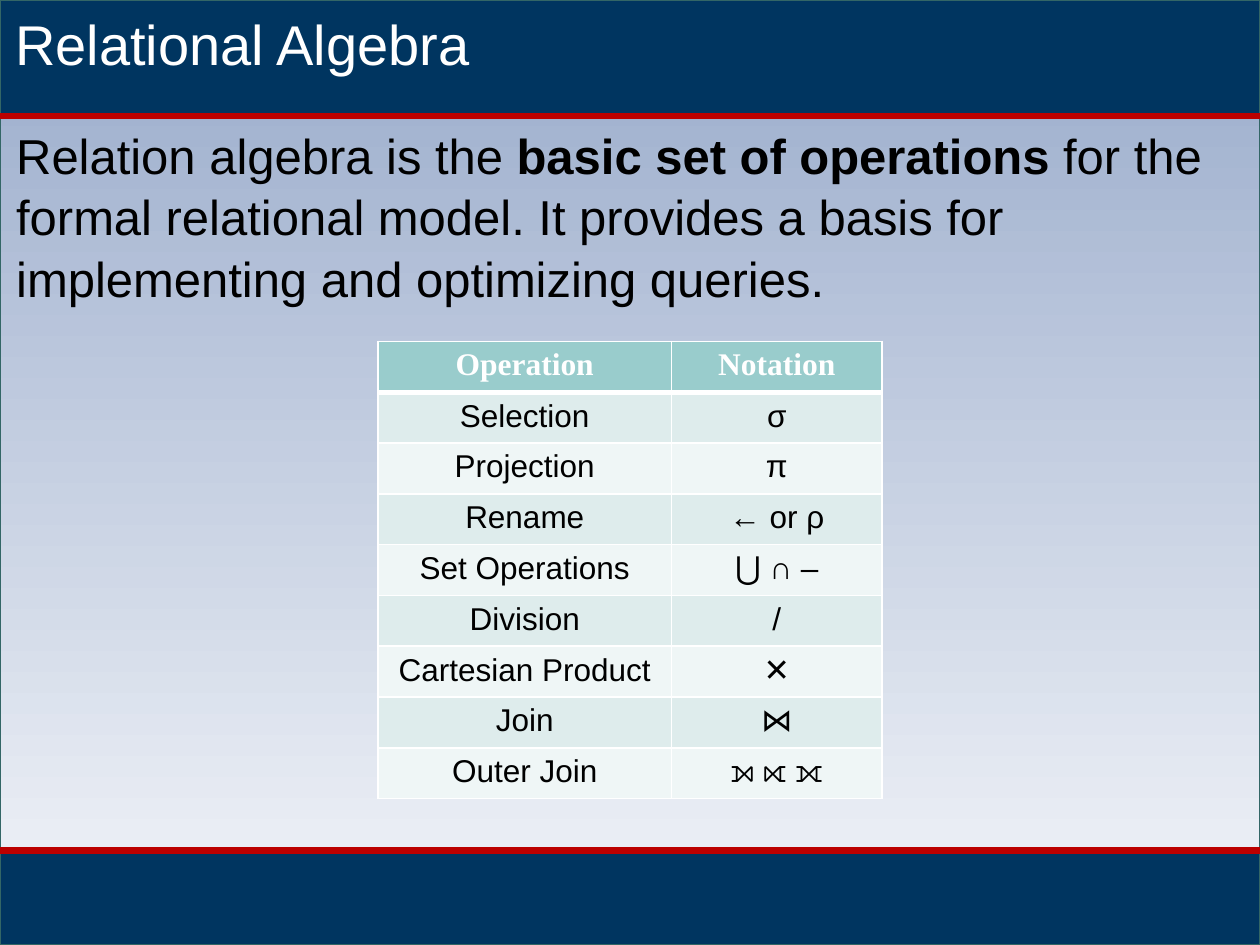
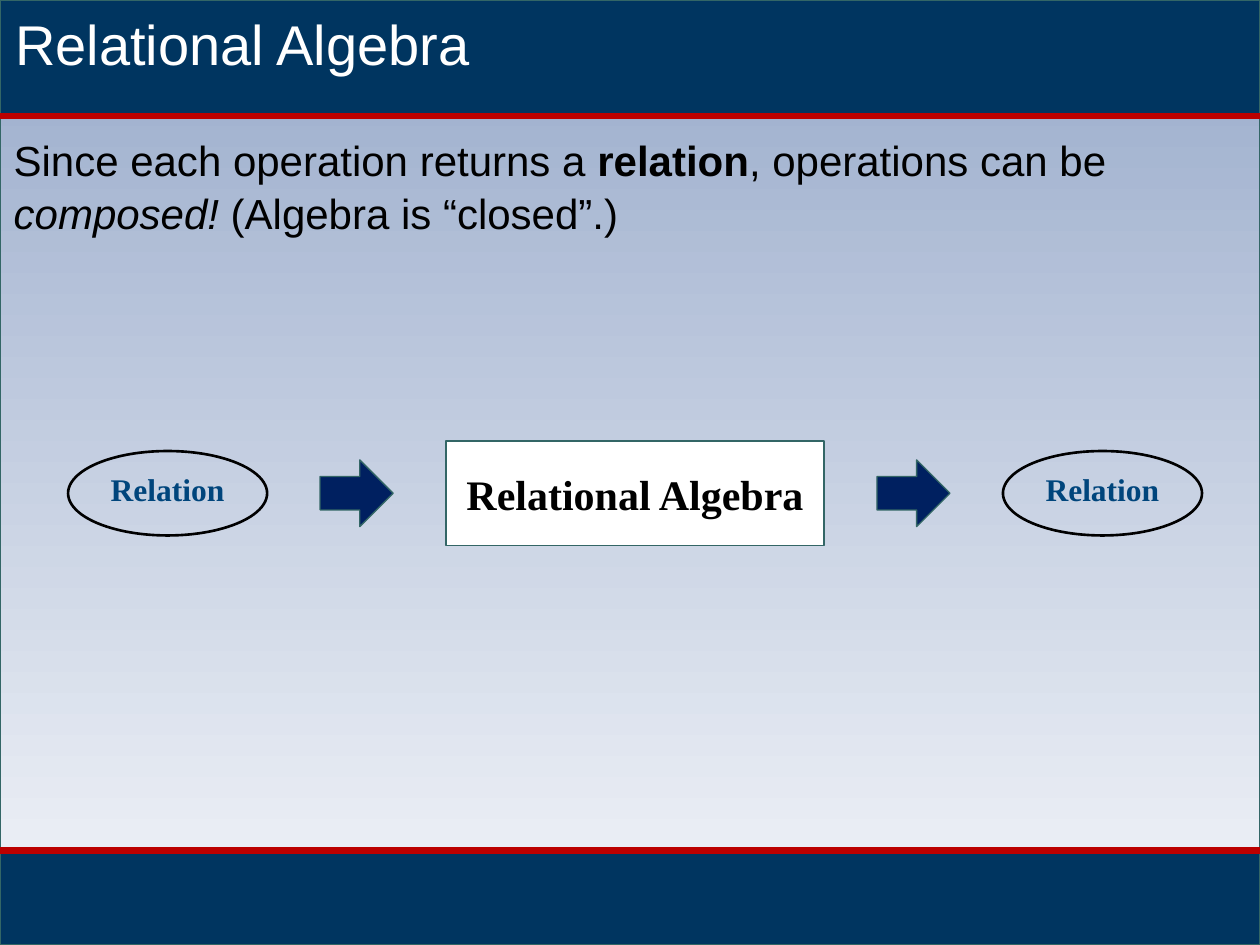
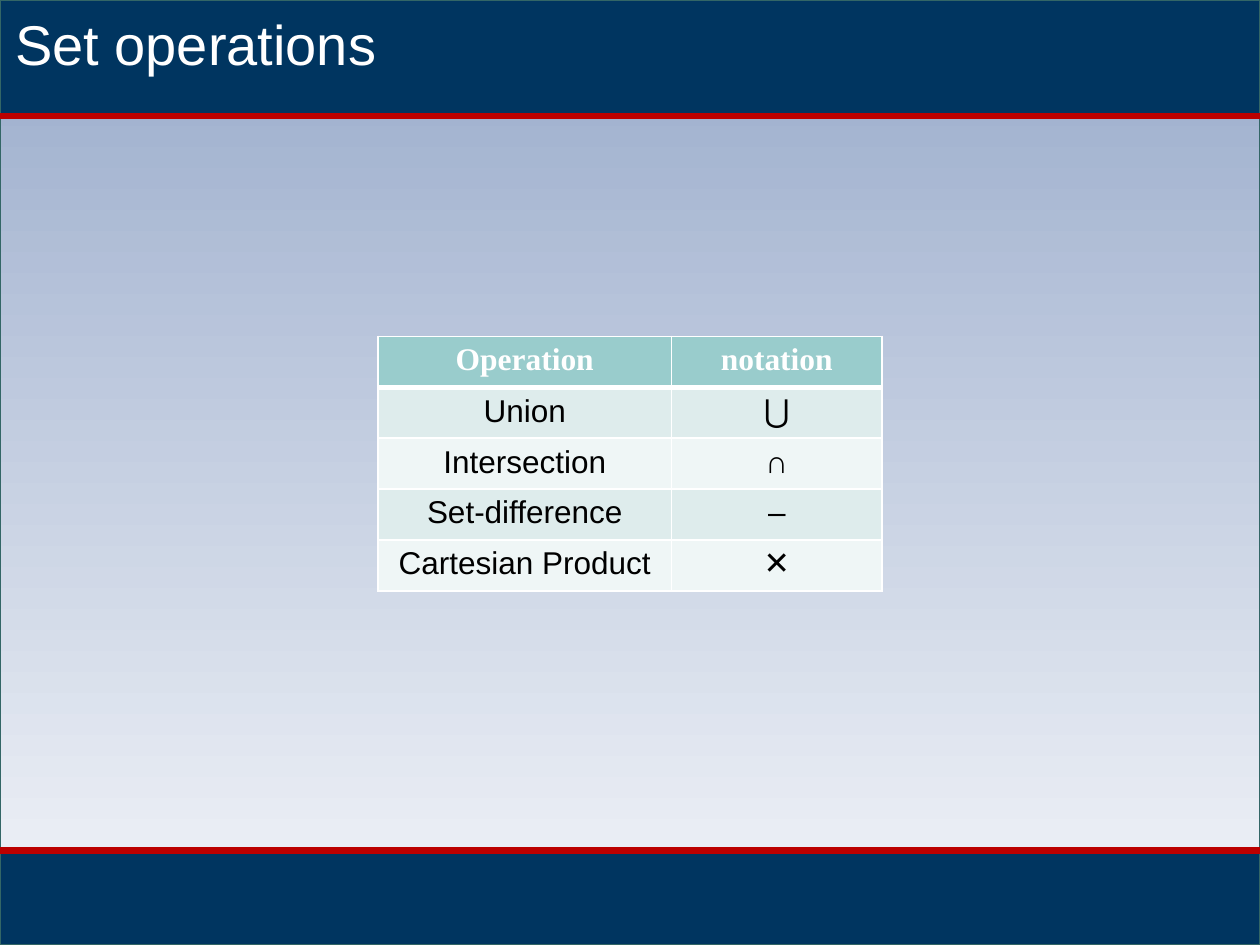
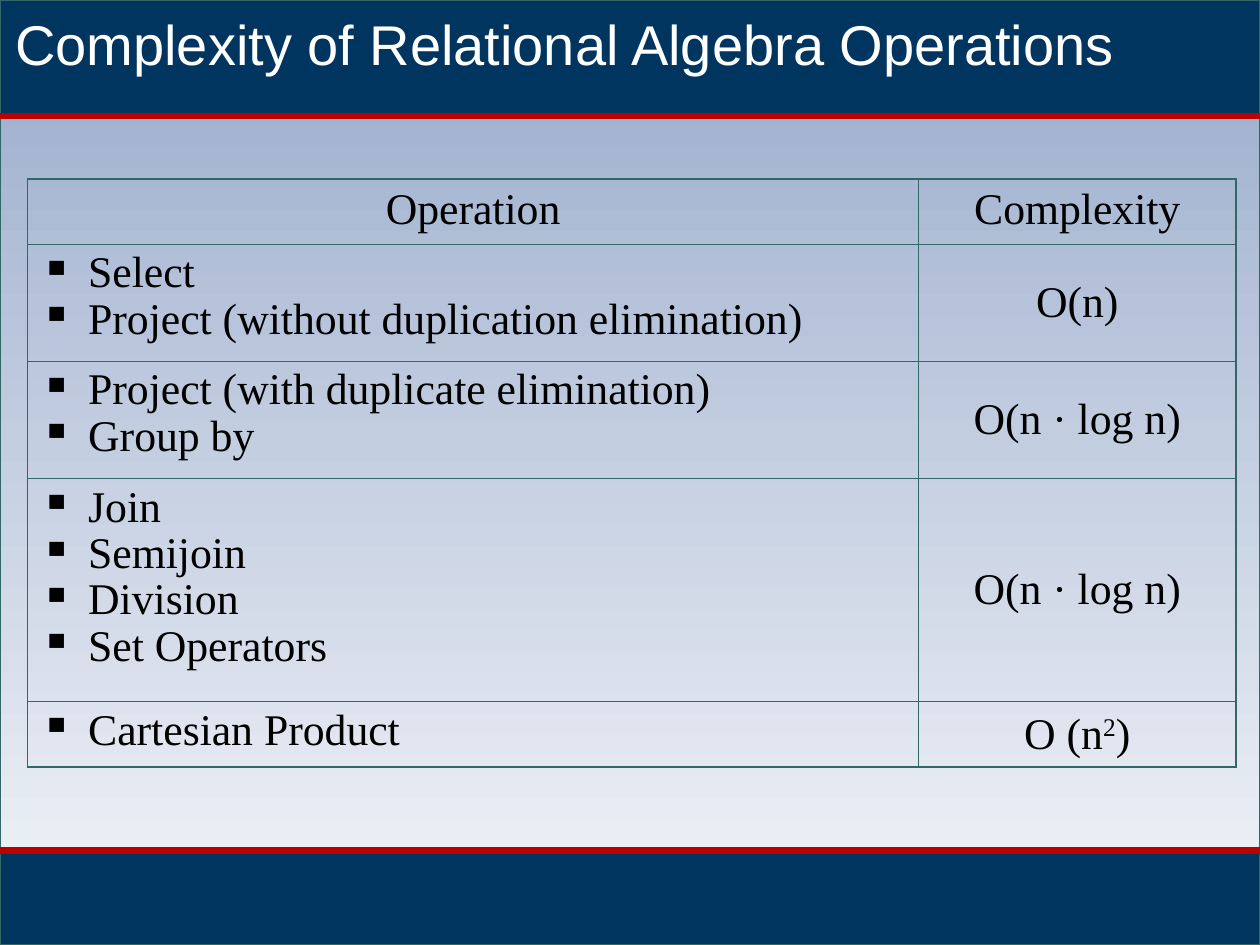
from dataclasses import dataclass

from pptx import Presentation
from pptx.dml.color import RGBColor
from pptx.enum.shapes import MSO_CONNECTOR, MSO_SHAPE
from pptx.enum.text import MSO_ANCHOR as Anchor, MSO_AUTO_SIZE as AutoSize, PP_ALIGN as Align
from pptx.oxml.ns import qn
from pptx.util import Inches, Pt
from lxml.etree import SubElement


@dataclass(frozen=True)
class Theme:
    sans: str = "Arial"
    serif: str = "Times New Roman"
    white: str = "FFFFFF"
    black: str = "000000"
    navy: str = "003560"
    red: str = "BC0000"
    outline: str = "336666"
    sky_top: str = "99ABCB"
    sky_bottom: str = "F3F5F9"
    arrow: str = "002060"
    relation: str = "00457C"
    header: str = "99CCCC"
    bands: tuple[str, str] = ("DEECEC", "EFF6F6")
    title_size: int = 32
    intro_size: int = 28
    body_size: int = 24
    complexity_size: int = 25
    label_size: int = 18
    line_spacing: float = 1.05


THEME = Theme()
WIDTH, HEIGHT = 10, 7.5
HEADER_BOTTOM, FOOTER_TOP = 0.92, 6.75


@dataclass(frozen=True)
class Box:
    left: float
    top: float
    width: float
    height: float

    def lengths(self) -> tuple:
        return tuple(Inches(n) for n in (self.left, self.top, self.width, self.height))


@dataclass(frozen=True)
class Style:
    size: int
    font: str = THEME.sans
    color: str = THEME.black
    bold: bool = False
    align: Align = Align.LEFT
    spacing: float | None = None


@dataclass(frozen=True)
class Span:
    text: str
    bold: bool = False
    italic: bool = False
    superscript: bool = False


@dataclass(frozen=True)
class Node:
    kind: MSO_SHAPE
    box: Box
    fill: str | None = None
    line: str = THEME.outline
    line_width: float = 0.75
    text: str = ""
    style: Style | None = None
    anchor: Anchor = Anchor.MIDDLE


def rgb(color: str) -> RGBColor:
    return RGBColor.from_string(color)


# Text
def write(paragraph, spans: list[Span], style: Style, bullet: str = "") -> None:
    paragraph.alignment = style.align
    if style.spacing:
        paragraph.line_spacing = style.spacing
    if bullet:
        properties = paragraph._p.get_or_add_pPr()
        properties.set("marL", str(Inches(0.38)))
        properties.set("indent", str(-Inches(0.38)))
        SubElement(properties, qn("a:buChar"), char=bullet)
    font = paragraph.font
    font.name, font.size, font.bold = style.font, Pt(style.size), style.bold
    font.color.rgb = rgb(style.color)
    for span in spans:
        run = paragraph.add_run()
        run.text = span.text
        if span.bold:
            run.font.bold = True
        if span.italic:
            run.font.italic = True
        if span.superscript:
            run.font._element.set("baseline", "30000")


def add_body(slide, box: Box, spans: list[Span], size: int) -> None:
    frame = slide.shapes.add_textbox(*box.lengths()).text_frame
    frame.word_wrap = True
    frame.auto_size = AutoSize.SHAPE_TO_FIT_TEXT
    write(frame.paragraphs[0], spans, Style(size, spacing=THEME.line_spacing))


# Shapes and lines
def add_node(slide, node: Node):
    shape = slide.shapes.add_shape(node.kind, *node.box.lengths())
    shape.shadow.inherit = False
    if node.fill:
        shape.fill.solid()
        shape.fill.fore_color.rgb = rgb(node.fill)
    else:
        shape.fill.background()
    shape.line.color.rgb = rgb(node.line)
    shape.line.width = Pt(node.line_width)
    if node.style:
        frame = shape.text_frame
        frame.word_wrap = False
        frame.vertical_anchor = node.anchor
        write(frame.paragraphs[0], [Span(node.text)], node.style)
    return shape


def add_rule(slide, top: float):
    rule = slide.shapes.add_connector(
        MSO_CONNECTOR.STRAIGHT, Inches(0), Inches(top), Inches(WIDTH), Inches(top))
    rule.line.color.rgb = rgb(THEME.red)
    rule.line.width = Pt(3.75)
    SubElement(rule.element.spPr, qn("a:effectLst"))
    return rule


# Shared frame: drawn once, then moved behind the layout's placeholders
def move_frame_to_layout(slide) -> None:
    rectangle = MSO_SHAPE.RECTANGLE
    sky = add_node(slide, Node(rectangle, Box(0, 0, WIDTH, HEIGHT)))
    sky.fill.gradient()
    sky.fill.gradient_angle = 270
    for stop, color, position in zip(
            sky.fill.gradient_stops, (THEME.sky_top, THEME.sky_bottom), (0, 1)):
        stop.color.rgb = rgb(color)
        stop.position = position
    footer = Box(0, FOOTER_TOP, WIDTH, HEIGHT - FOOTER_TOP)
    header = Box(0, 0, WIDTH, HEADER_BOTTOM)
    parts = [sky]
    parts += [add_node(slide, Node(rectangle, box, THEME.navy)) for box in (footer, header)]
    parts += [add_rule(slide, top) for top in (HEADER_BOTTOM, FOOTER_TOP)]
    tree = slide.slide_layout.shapes.element
    for position, part in enumerate(parts, start=2):
        tree.insert(position, part.element)


def add_titled_slide(presentation, title: str):
    slide = presentation.slides.add_slide(presentation.slide_layouts[5])
    shape = slide.shapes.title
    shape.left, shape.top, shape.width, shape.height = Box(0.02, 0, 9.98, 0.64).lengths()
    frame = shape.text_frame
    frame.word_wrap = True
    frame.auto_size = AutoSize.SHAPE_TO_FIT_TEXT
    frame.vertical_anchor = Anchor.TOP
    style = Style(THEME.title_size, color=THEME.white, spacing=THEME.line_spacing)
    write(frame.paragraphs[0], [Span(title)], style)
    return slide


# Tables
def set_borders(cell, color: str, top: float = 1, bottom: float = 1) -> None:
    properties = cell._tc.get_or_add_tcPr()
    for side, width in (("L", 1), ("R", 1), ("T", top), ("B", bottom)):
        line = SubElement(properties, qn(f"a:ln{side}"), w=str(Pt(width)))
        SubElement(SubElement(line, qn("a:solidFill")), qn("a:srgbClr"), val=color)


def add_plain_table(slide, box: Box, columns: list[float], heights: list[float]):
    table = slide.shapes.add_table(len(heights), len(columns), *box.lengths()).table
    table.first_row = table.horz_banding = False
    for column, width in zip(table.columns, columns):
        column.width = Inches(width)
    for row, height in zip(table.rows, heights):
        row.height = Inches(height)
    return table


def add_notation_table(slide, top: float, height: float, rows: list[tuple[str, str]]) -> None:
    count = len(rows)
    table = add_plain_table(slide, Box(3, top, 4, height), [2.33, 1.67], [height / count] * count)
    heading = Style(THEME.label_size, THEME.serif, THEME.white, bold=True, align=Align.CENTER)
    entry = Style(THEME.label_size, align=Align.CENTER)
    for index, texts in enumerate(rows):
        is_heading = index == 0
        fill = THEME.header if is_heading else THEME.bands[(index - 1) % 2]
        for cell, text in zip(table.rows[index].cells, texts):
            set_borders(cell, THEME.white, top=3 if index == 1 else 1, bottom=3 if is_heading else 1)
            cell.fill.solid()
            cell.fill.fore_color.rgb = rgb(fill)
            write(cell.text_frame.paragraphs[0], [Span(text)], heading if is_heading else entry)


@dataclass(frozen=True)
class ComplexityRow:
    height: float
    operations: list[str]
    complexity: list[Span]


def add_complexity_table(slide, rows: list[ComplexityRow]) -> None:
    heights = [row.height for row in rows]
    table = add_plain_table(slide, Box(0.22, 1.42, 9.59, sum(heights)), [7.07, 2.52], heights)
    left = Style(THEME.complexity_size, THEME.serif, spacing=0.96)
    centered = Style(THEME.complexity_size, THEME.serif, align=Align.CENTER)
    for index, row in enumerate(rows):
        operation_cell, complexity_cell = table.rows[index].cells
        for cell in (operation_cell, complexity_cell):
            set_borders(cell, THEME.outline)
            cell.fill.background()
        frame = operation_cell.text_frame
        for position, operation in enumerate(row.operations):
            paragraph = frame.add_paragraph() if position else frame.paragraphs[0]
            if index:
                write(paragraph, [Span(operation)], left, bullet="▪")
            else:
                write(paragraph, [Span(operation)], centered)
        if index:
            complexity_cell.vertical_anchor = Anchor.MIDDLE
        write(complexity_cell.text_frame.paragraphs[0], row.complexity, centered)


# Slides
def build_operations(presentation) -> None:
    slide = add_titled_slide(presentation, "Relational Algebra")
    move_frame_to_layout(slide)
    add_body(slide, Box(0.03, 0.92, 9.99, 1.51), [
        Span("Relation algebra is the "),
        Span("basic set of operations ", bold=True),
        Span("for the formal relational model. It provides a basis for "
             "implementing and optimizing queries."),
    ], THEME.intro_size)
    add_notation_table(slide, 2.71, 3.63, [
        ("Operation", "Notation"),
        ("Selection", "σ"),
        ("Projection", "π"),
        ("Rename", "← or ρ"),
        ("Set Operations", "⋃ ∩ –"),
        ("Division", "/"),
        ("Cartesian Product", "✕"),
        ("Join", "⋈"),
        ("Outer Join", "⟕ ⟖ ⟗"),
    ])


def build_closure(presentation) -> None:
    slide = add_titled_slide(presentation, "Relational Algebra")
    add_body(slide, Box(0.01, 1, 9.99, 0.91), [
        Span("Since each operation returns a "),
        Span("relation", bold=True),
        Span(", operations can be "),
        Span("composed!", italic=True),
        Span(" (Algebra is “closed”.)"),
    ], THEME.body_size)
    algebra_style = Style(THEME.body_size, THEME.serif, bold=True, align=Align.CENTER)
    relation_style = Style(THEME.label_size, THEME.serif, THEME.relation, True, Align.CENTER)
    add_node(slide, Node(MSO_SHAPE.RECTANGLE, Box(3.54, 3.5, 3, 0.83), THEME.white,
                         text="Relational Algebra", style=algebra_style))
    for left in (2.54, 6.96):
        add_node(slide, Node(MSO_SHAPE.RIGHT_ARROW, Box(left, 3.65, 0.58, 0.53), THEME.arrow))
    for left in (0.54, 7.96):
        add_node(slide, Node(MSO_SHAPE.OVAL, Box(left, 3.58, 1.58, 0.67), line=THEME.black,
                             line_width=1.5, text="Relation", style=relation_style,
                             anchor=Anchor.TOP))


def build_set_operations(presentation) -> None:
    slide = add_titled_slide(presentation, "Set operations")
    add_notation_table(slide, 2.67, 2.02, [
        ("Operation", "notation"),
        ("Union", "⋃"),
        ("Intersection", "∩"),
        ("Set-difference", "–"),
        ("Cartesian Product", "✕"),
    ])


def build_complexity(presentation) -> None:
    slide = add_titled_slide(presentation, "Complexity of Relational Algebra Operations")
    log_linear = [Span("O(n · log n)")]
    add_complexity_table(slide, [
        ComplexityRow(0.52, ["Operation"], [Span("Complexity")]),
        ComplexityRow(0.93, ["Select", "Project (without duplication elimination)"],
                      [Span("O(n)")]),
        ComplexityRow(0.93, ["Project (with duplicate elimination)", "Group by"], log_linear),
        ComplexityRow(1.77, ["Join", "Semijoin", "Division", "Set Operators"], log_linear),
        ComplexityRow(0.52, ["Cartesian Product"],
                      [Span("O (n"), Span("2", superscript=True), Span(")")]),
    ])


def main() -> None:
    presentation = Presentation()
    presentation.slide_width, presentation.slide_height = Inches(WIDTH), Inches(HEIGHT)
    build_operations(presentation)
    build_closure(presentation)
    build_set_operations(presentation)
    build_complexity(presentation)
    presentation.save("out.pptx")


if __name__ == "__main__":
    main()
